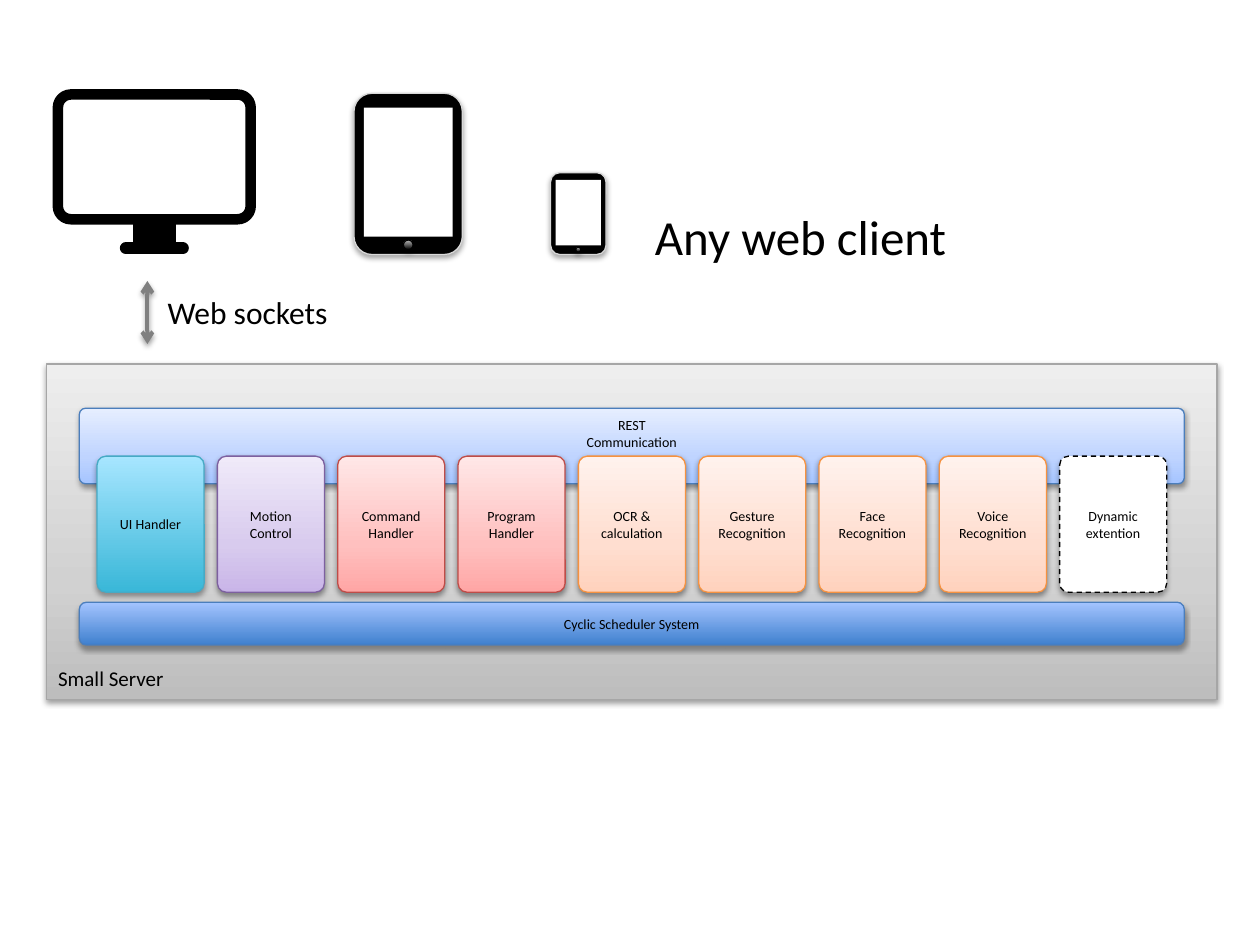
"""Builds a slide of web clients above a device running a row of scheduled modules."""
from dataclasses import dataclass

from lxml import etree
from pptx import Presentation
from pptx.dml.color import RGBColor
from pptx.enum.dml import MSO_LINE
from pptx.enum.shapes import MSO_CONNECTOR, MSO_SHAPE
from pptx.enum.text import MSO_ANCHOR, MSO_AUTO_SIZE, PP_ALIGN
from pptx.oxml.ns import qn
from pptx.util import Inches, Pt

RECT, ROUND, OVAL = MSO_SHAPE.RECTANGLE, MSO_SHAPE.ROUNDED_RECTANGLE, MSO_SHAPE.OVAL
STRAIGHT, DASH = MSO_CONNECTOR.STRAIGHT, MSO_LINE.DASH
TOP, MIDDLE = MSO_ANCHOR.TOP, MSO_ANCHOR.MIDDLE
LEFT, CENTER = PP_ALIGN.LEFT, PP_ALIGN.CENTER
FIT = MSO_AUTO_SIZE.SHAPE_TO_FIT_TEXT

WIDTH, HEIGHT = Inches(10), Inches(7.5)
UNIT = WIDTH / 100
COL_LEFT, COL_PITCH, COL_WIDTH = 7.7, 9.55, 8.5
ROW_TOP, ROW_HEIGHT = 36.2, 10.8
CORNER = 0.083
SOFT, STRONG = (38, 20000), (35, 23000)

COLORS = {
    "black": "000000", "white": "FFFFFF", "rim": "D9D9D9", "arrow": "808080",
    "gray": "A6A6A6", "blue": "4B7EBC", "aqua": "46AAC5",
    "purple": "7D60A0", "red": "BF4C48", "orange": "F69240",
}
GRADIENTS = {
    "gray": {0: "BDBDBD", 35: "D1D1D1", 100: "EEEEEE"},
    "pale blue": {0: "A4C4FF", 35: "BFD4FF", 100: "E6EEFF"},
    "deep blue": {0: "3F80CE", 100: "A4C4FF"},
    "aqua": {0: "39B7D8", 100: "A7E6FF"},
    "purple": {0: "C9B5E8", 35: "D8CBEE", 100: "F0EAF9"},
    "red": {0: "FFA6A5", 35: "FFC0BF", 100: "FFE7E7"},
    "orange": {0: "FFD2BD", 35: "FFDED0", 100: "FFF2ED"},
    "button": {0: "000000", 100: "BDBDBD"},
}


@dataclass
class Box:
    """A shape, placed in hundredths of the slide's width."""
    x: float
    y: float
    w: float
    h: float
    fill: str
    line: str | None = None
    kind: int = RECT
    weight: float = 0.75
    corner: float | None = None
    shadow: tuple[int, int] | None = SOFT
    lines: tuple[str, ...] = ()
    anchor: int = MIDDLE
    dash: int | None = None


@dataclass
class Module:
    """One column of the module row."""
    lines: tuple[str, ...]
    color: str
    shadow: tuple[int, int] = SOFT
    dash: int | None = None


@dataclass
class Label:
    """A free text, placed in hundredths of the slide's width."""
    text: str
    x: float
    y: float
    w: float
    h: float
    size: int
    align: int = CENTER


MODULES = (
    Module(("UI Handler",), "aqua", STRONG),
    Module(("Motion Control",), "purple"),
    Module(("Command Handler",), "red"),
    Module(("Program", "Handler"), "red"),
    Module(("OCR & calculation",), "orange"),
    Module(("Gesture", "Recognition"), "orange"),
    Module(("Face", "Recognition"), "orange"),
    Module(("Voice", "Recognition"), "orange"),
    Module(("Dynamic extention",), "white", STRONG, DASH),
)
PLATFORM = (
    Box(3.7, 28.9, 92.9, 26.6, "gray", "gray"),
    Box(6.3, 32.4, 87.7, 6, "pale blue", "blue", ROUND, corner=CORNER,
        lines=("REST", "Communication"), anchor=TOP),
    Box(6.3, 47.8, 87.7, 3.4, "deep blue", "blue", ROUND, shadow=STRONG,
        lines=("Cyclic Scheduler System",)),
)
MONITOR = (
    Box(4.6, 7.5, 15.3, 9.9, "white", "black", ROUND, 6, 0.104, None),
    Box(10.7, 17.5, 3.1, 1.8, "black", "black", weight=2, shadow=None),
)
HANDHELDS = ((28.1, 7.4, 8.6, 12.8), (43.7, 13.7, 4.4, 6.5))
LABELS = (
    Label("Web sockets", 12.2, 22.8, 14.9, 4, 18),
    Label("Any web client", 51, 15.9, 25.4, 5.7, 28, LEFT),
    Label("Small Server", 3.5, 52.3, 10.6, 3, 12),
)


def emu(*values: float) -> list[int]:
    return [round(v * UNIT) for v in values]


def rgb(name: str) -> RGBColor:
    return RGBColor.from_string(COLORS[name])


def add(parent, tag: str, **attrs):
    return etree.SubElement(parent, qn(tag), {k: str(v) for k, v in attrs.items()})


def add_shadow(effects, shadow: tuple[int, int]) -> None:
    alpha, dist = shadow
    outer = add(effects, "a:outerShdw", blurRad=40000, dist=dist, dir=5400000, rotWithShape=0)
    add(add(outer, "a:srgbClr", val=COLORS["black"]), "a:alpha", val=alpha * 1000)


def paint(sp, name: str) -> None:
    if name not in GRADIENTS:
        sp.fill.solid()
        sp.fill.fore_color.rgb = rgb(name)
        return
    sp.fill.gradient()
    sp.fill.gradient_angle = 90
    stops = next(sp._element.iter(qn("a:gsLst")))
    for stop in list(stops):
        stops.remove(stop)
    for pos, color in GRADIENTS[name].items():
        add(add(stops, "a:gs", pos=pos * 1000), "a:srgbClr", val=color)


def write(tf, lines: tuple[str, ...], size: int, align: int) -> None:
    for i, line in enumerate(lines):
        p = tf.add_paragraph() if i else tf.paragraphs[0]
        p.alignment = align
        r = p.add_run()
        r.text = line
        for key, value in {"name": "Calibri", "size": Pt(size)}.items():
            setattr(r.font, key, value)
        r.font.color.rgb = rgb("black")


def draw_box(s, box: Box) -> None:
    sp = s.shapes.add_shape(box.kind, *emu(box.x, box.y, box.w, box.h))
    if box.corner is not None:
        sp.adjustments[0] = box.corner
    paint(sp, box.fill)
    if box.line:
        sp.line.color.rgb = rgb(box.line)
        for key, value in {"width": Pt(box.weight), "dash_style": box.dash}.items():
            setattr(sp.line, key, value)
    else:
        sp.line.fill.background()
    sp.shadow.inherit = False
    if box.shadow:
        add_shadow(sp._element.spPr.find(qn("a:effectLst")), box.shadow)
    sp.text_frame.vertical_anchor = box.anchor
    write(sp.text_frame, box.lines, 8, CENTER)


def draw_handheld(s, x: float, y: float, w: float, h: float) -> None:
    dot = 0.09 * w
    draw_box(s, Box(x, y, w, h, "black", "rim", ROUND, shadow=STRONG))
    draw_box(s, Box(x + 0.09 * w, y + 0.09 * h, 0.82 * w, 0.8 * h, "white", shadow=STRONG))
    draw_box(s, Box(x + (w - dot) / 2, y + 0.91 * h, dot, dot, "button", "black", OVAL,
                    shadow=STRONG))


def draw_line(s, ends: tuple[float, ...], color: str, weight: float, arrows: bool) -> None:
    sp = s.shapes.add_connector(STRAIGHT, *emu(*ends))
    sp.line.color.rgb = rgb(color)
    sp.line.width = Pt(weight)
    ln = sp.line._get_or_add_ln()
    effects = add(sp._element.spPr, "a:effectLst")
    if arrows:
        for tag in ("a:headEnd", "a:tailEnd"):
            add(ln, tag, type="arrow")
        add_shadow(effects, SOFT)
    else:
        ln.set("cap", "rnd")


def draw_label(s, label: Label) -> None:
    tf = s.shapes.add_textbox(*emu(label.x, label.y, label.w, label.h)).text_frame
    for key, value in {"word_wrap": False, "auto_size": FIT}.items():
        setattr(tf, key, value)
    write(tf, (label.text,), label.size, label.align)


def main() -> None:
    prs = Presentation()
    prs.slide_width, prs.slide_height = WIDTH, HEIGHT
    s = prs.slides.add_slide(prs.slide_layouts[6])
    modules = [Box(COL_LEFT + i * COL_PITCH, ROW_TOP, COL_WIDTH, ROW_HEIGHT, m.color,
                   "black" if m.dash else m.color, ROUND, corner=CORNER,
                   shadow=m.shadow, lines=m.lines, dash=m.dash)
               for i, m in enumerate(MODULES)]
    for box in (*PLATFORM, *modules, *MONITOR):
        draw_box(s, box)
    for place in HANDHELDS:
        draw_handheld(s, *place)
    draw_line(s, (10, 19.7, 14.5, 19.7), "black", 7, False)
    draw_line(s, (11.7, 27.3, 11.7, 22.3), "arrow", 2.25, True)
    for label in LABELS:
        draw_label(s, label)
    prs.save("out.pptx")


if __name__ == "__main__":
    main()
